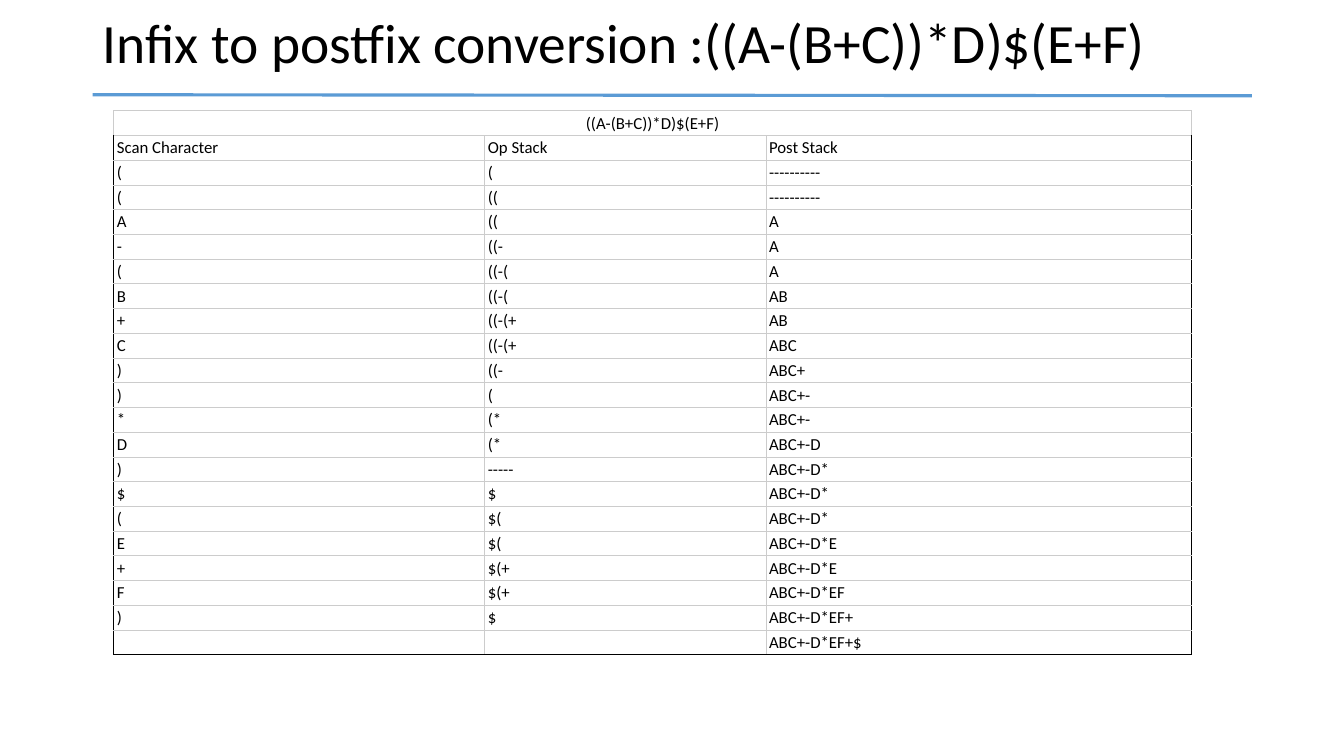
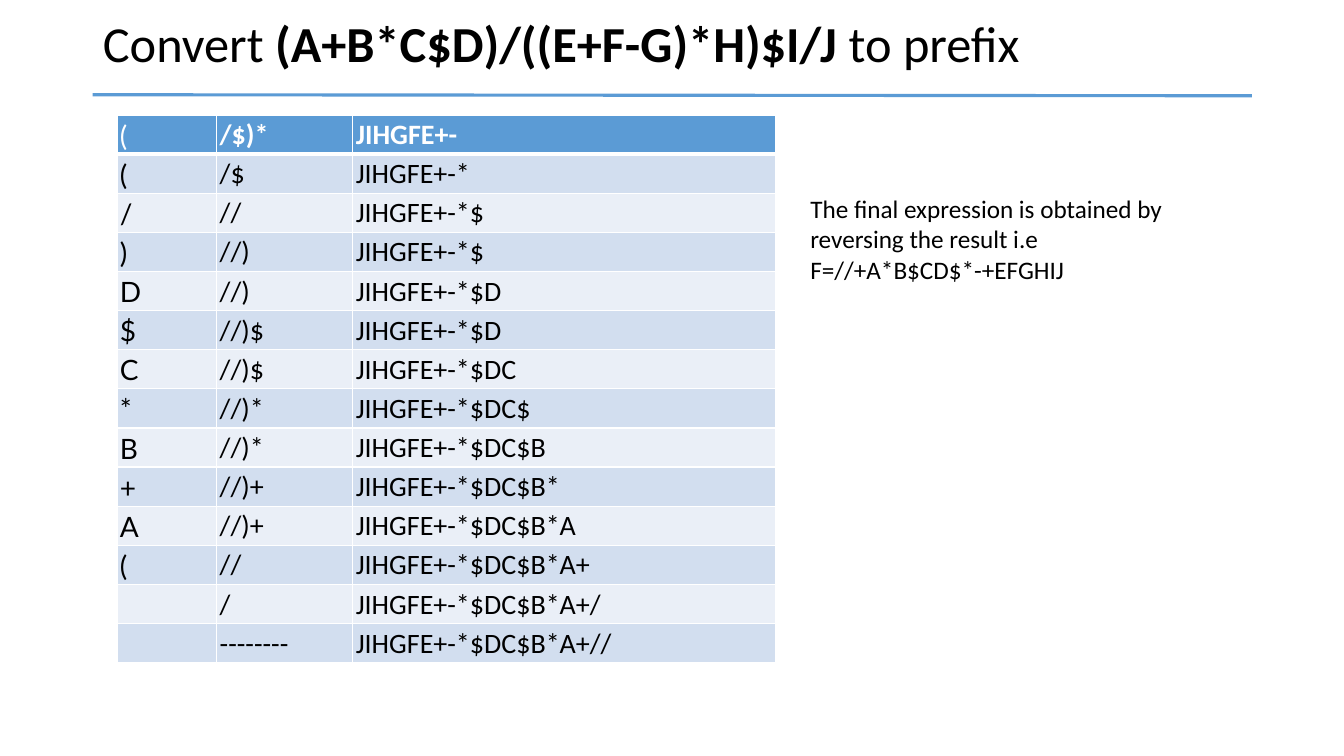
from dataclasses import dataclass

from lxml.etree import SubElement
from pptx import Presentation
from pptx.dml.color import RGBColor
from pptx.enum.shapes import MSO_CONNECTOR
from pptx.enum.text import MSO_ANCHOR, MSO_AUTO_SIZE, PP_ALIGN
from pptx.oxml.ns import qn
from pptx.slide import Slide, SlideLayout
from pptx.table import _Cell
from pptx.util import Emu, Inches, Pt

# Shared look; positions count in grid units of a tenth of an inch
SLIDE_COLUMNS, SLIDE_ROWS = 133.33, 75
BLACK, WHITE, GREY, BLUE = "000000", "FFFFFF", "CCCCCC", "5B9BD5"
BANDS = ("D2DEEF", "EAEFF7")
BODY_FONT, SYMBOL_FONT = "Calibri", "Lato"


@dataclass(frozen=True)
class Box:
    left: float
    top: float
    width: float
    height: float

    def lengths(self) -> tuple[Emu, Emu, Emu, Emu]:
        return grid(self.left), grid(self.top), grid(self.width), grid(self.height)


@dataclass(frozen=True)
class TraceTable:
    box: Box
    columns: tuple[float, ...]
    rows: list[tuple[str, str, str]]
    size: float
    line_color: str
    line_width: float
    edge_color: str
    symbol_font: str = BODY_FONT
    banded: bool = False
    caption: bool = False


TITLE_BOX = Box(9.2, 1.1, 115, 6.9)
NOTE_BOX = Box(79.4, 18.7, 37.9, 16.2)

POSTFIX_TRACE = TraceTable(
    box=Box(11.3, 11, 106.9, 54),
    columns=(36.8, 27.9, 42.2),
    rows=[
        ("((A-(B+C))*D)$(E+F)", "", ""),
        ("Scan Character", "Op Stack", "Post Stack"),
        ("(", "(", "----------"),
        ("(", "((", "----------"),
        ("A", "((", "A"),
        ("-", "((-", "A"),
        ("(", "((-(", "A"),
        ("B", "((-(", "AB"),
        ("+", "((-(+", "AB"),
        ("C", "((-(+", "ABC"),
        (")", "((-", "ABC+"),
        (")", "(", "ABC+-"),
        ("*", "(*", "ABC+-"),
        ("D", "(*", "ABC+-D"),
        (")", "-----", "ABC+-D*"),
        ("$", "$", "ABC+-D*"),
        ("(", "$(", "ABC+-D*"),
        ("E", "$(", "ABC+-D*E"),
        ("+", "$(+", "ABC+-D*E"),
        ("F", "$(+", "ABC+-D*EF"),
        (")", "$", "ABC+-D*EF+"),
        ("", "", "ABC+-D*EF+$"),
    ],
    size=12, line_color=GREY, line_width=0.75, edge_color=BLACK, caption=True,
)

PREFIX_TRACE = TraceTable(
    box=Box(11.6, 11.4, 65.3, 54.4),
    columns=(9.9, 13.5, 41.9),
    rows=[
        ("(", "/$)*", "JIHGFE+-"),
        ("(", "/$", "JIHGFE+-*"),
        ("/", "//", "JIHGFE+-*$"),
        (")", "//)", "JIHGFE+-*$"),
        ("D", "//)", "JIHGFE+-*$D"),
        ("$", "//)$", "JIHGFE+-*$D"),
        ("C", "//)$", "JIHGFE+-*$DC"),
        ("*", "//)*", "JIHGFE+-*$DC$"),
        ("B", "//)*", "JIHGFE+-*$DC$B"),
        ("+", "//)+", "JIHGFE+-*$DC$B*"),
        ("A", "//)+", "JIHGFE+-*$DC$B*A"),
        ("(", "//", "JIHGFE+-*$DC$B*A+"),
        ("", "/", "JIHGFE+-*$DC$B*A+/"),
        ("", "--------", "JIHGFE+-*$DC$B*A+//"),
    ],
    size=20, line_color=WHITE, line_width=1, edge_color=WHITE,
    symbol_font=SYMBOL_FONT, banded=True,
)


def grid(units: float) -> Emu:
    return Inches(units / 10)


def color(value: str) -> RGBColor:
    return RGBColor.from_string(value)


def style_font(font, size: float, name: str = BODY_FONT, fill: str = BLACK, bold: bool = False) -> None:
    font.size, font.name, font.bold = Pt(size), name, bold
    font.color.rgb = color(fill)


def place(shape, box: Box) -> None:
    shape.left, shape.top, shape.width, shape.height = box.lengths()


def add_title(slide: Slide, parts: list[tuple[str, bool]], size: float) -> None:
    """Fill the title placeholder with (text, bold) parts."""
    title = slide.shapes.title
    place(title, TITLE_BOX)
    text_frame = title.text_frame
    text_frame.auto_size = MSO_AUTO_SIZE.NONE
    text_frame.vertical_anchor = MSO_ANCHOR.MIDDLE
    paragraph = text_frame.paragraphs[0]
    paragraph.alignment = PP_ALIGN.LEFT
    paragraph.line_spacing = 0.9
    for text, bold in parts:
        run = paragraph.add_run()
        run.text = text
        style_font(run.font, size, bold=bold)


def add_layout_rule(layout: SlideLayout, slide: Slide) -> None:
    """Draw the rule under the title and hand it to the layout."""
    rule = slide.shapes.add_connector(
        MSO_CONNECTOR.STRAIGHT, grid(9.2), grid(9.4), grid(124.2), grid(9.5))
    rule.line.color.rgb = color(BLUE)
    rule.line.width = Pt(2.25)
    SubElement(rule.element.spPr, qn("a:effectLst"))
    layout.element.cSld.spTree.append(rule.element)


def set_border(cell: _Cell, side: str, line_color: str, width: float) -> None:
    properties = cell._tc.get_or_add_tcPr()
    line = SubElement(properties, qn(f"a:ln{side}"), w=str(Pt(width)))
    fill = SubElement(line, qn("a:solidFill"))
    SubElement(fill, qn("a:srgbClr"), val=line_color)


def draw_borders(cell: _Cell, trace: TraceTable, row: int, column: int) -> None:
    below_caption = row > 0
    outer = {
        "L": column == 0 and below_caption,
        "R": column == len(trace.columns) - 1 and below_caption,
        "T": False,
        "B": row == len(trace.rows) - 1,
    }
    for side, is_outer in outer.items():
        under_header = trace.banded and (row, side) in ((0, "B"), (1, "T"))
        set_border(cell, side, trace.edge_color if is_outer else trace.line_color,
                   3 if under_header else trace.line_width)


def fill_cell(cell: _Cell, trace: TraceTable, row: int, column: int) -> None:
    header = trace.banded and row == 0
    draw_borders(cell, trace, row, column)
    if trace.banded:
        cell.fill.solid()
        cell.fill.fore_color.rgb = color(BLUE if header else BANDS[(row - 1) % 2])
    else:
        cell.fill.background()
    cell.margin_left = cell.margin_right = Inches(0.03)
    cell.margin_top = cell.margin_bottom = Inches(0.02)
    cell.vertical_anchor = MSO_ANCHOR.BOTTOM
    cell.text_frame.text = trace.rows[row][column]
    paragraph = cell.text_frame.paragraphs[0]
    for run in paragraph.runs:
        style_font(run.font, trace.size, BODY_FONT if column else trace.symbol_font,
                   WHITE if header else BLACK, header and column > 0)
    if not paragraph.runs:  # keeps an empty row from growing
        SubElement(paragraph._p, qn("a:endParaRPr"), sz=str(trace.size * 100))


def add_trace(slide: Slide, trace: TraceTable) -> None:
    table = slide.shapes.add_table(
        len(trace.rows), len(trace.columns), *trace.box.lengths()).table
    table.first_row = table.horz_banding = False
    for column, width in zip(table.columns, trace.columns):
        column.width = grid(width)
    for row_index, row in enumerate(table.rows):
        row.height = grid(trace.box.height / len(trace.rows))
        for column_index, cell in enumerate(row.cells):
            fill_cell(cell, trace, row_index, column_index)
    if trace.caption:
        table.cell(0, 0).merge(table.cell(0, len(trace.columns) - 1))
        table.cell(0, 0).text_frame.paragraphs[0].alignment = PP_ALIGN.CENTER


def add_note(slide: Slide, text: str) -> None:
    text_frame = slide.shapes.add_textbox(*NOTE_BOX.lengths()).text_frame
    text_frame.word_wrap = True
    text_frame.text = text
    for paragraph in text_frame.paragraphs:
        for run in paragraph.runs:
            style_font(run.font, 18)


def main() -> None:
    presentation = Presentation()
    presentation.slide_width = grid(SLIDE_COLUMNS)
    presentation.slide_height = grid(SLIDE_ROWS)
    layout = presentation.slide_layouts.get_by_name("Title Only")

    # Infix to postfix
    postfix_slide = presentation.slides.add_slide(layout)
    add_layout_rule(layout, postfix_slide)
    add_title(postfix_slide, [("Infix to postfix conversion :((A-(B+C))*D)$(E+F)", False)], 39.6)
    add_trace(postfix_slide, POSTFIX_TRACE)

    # Infix to prefix
    prefix_slide = presentation.slides.add_slide(layout)
    add_title(prefix_slide, [
        ("Convert ", False), ("(A+B*C$D)/((E+F-G)*H)$I/J ", True), ("to prefix", False)], 36)
    add_trace(prefix_slide, PREFIX_TRACE)
    add_note(prefix_slide, "The final expression is obtained by\n"
                           "reversing the result i.e\n"
                           "F=//+A*B$CD$*-+EFGHIJ")

    presentation.save("out.pptx")


if __name__ == "__main__":
    main()
